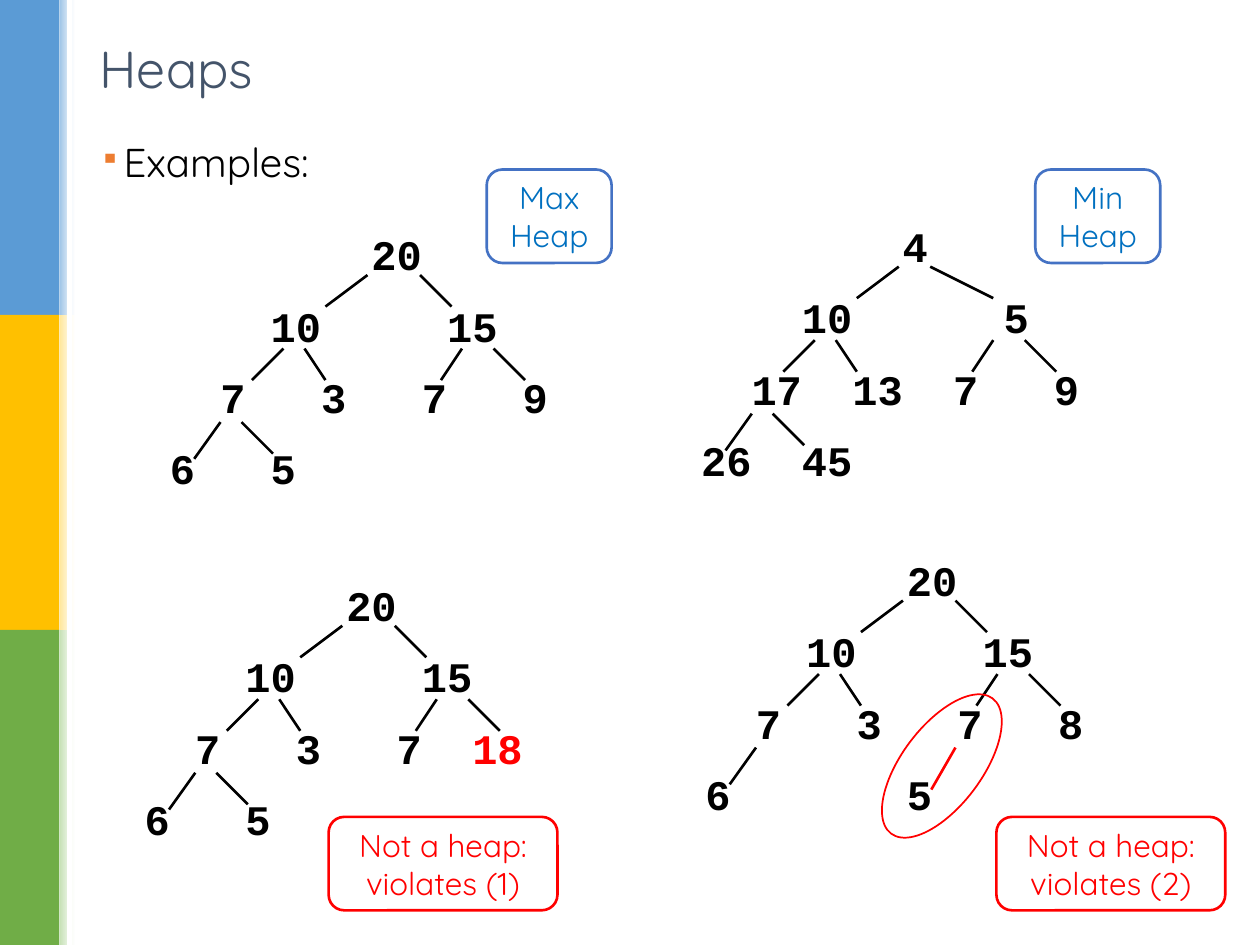
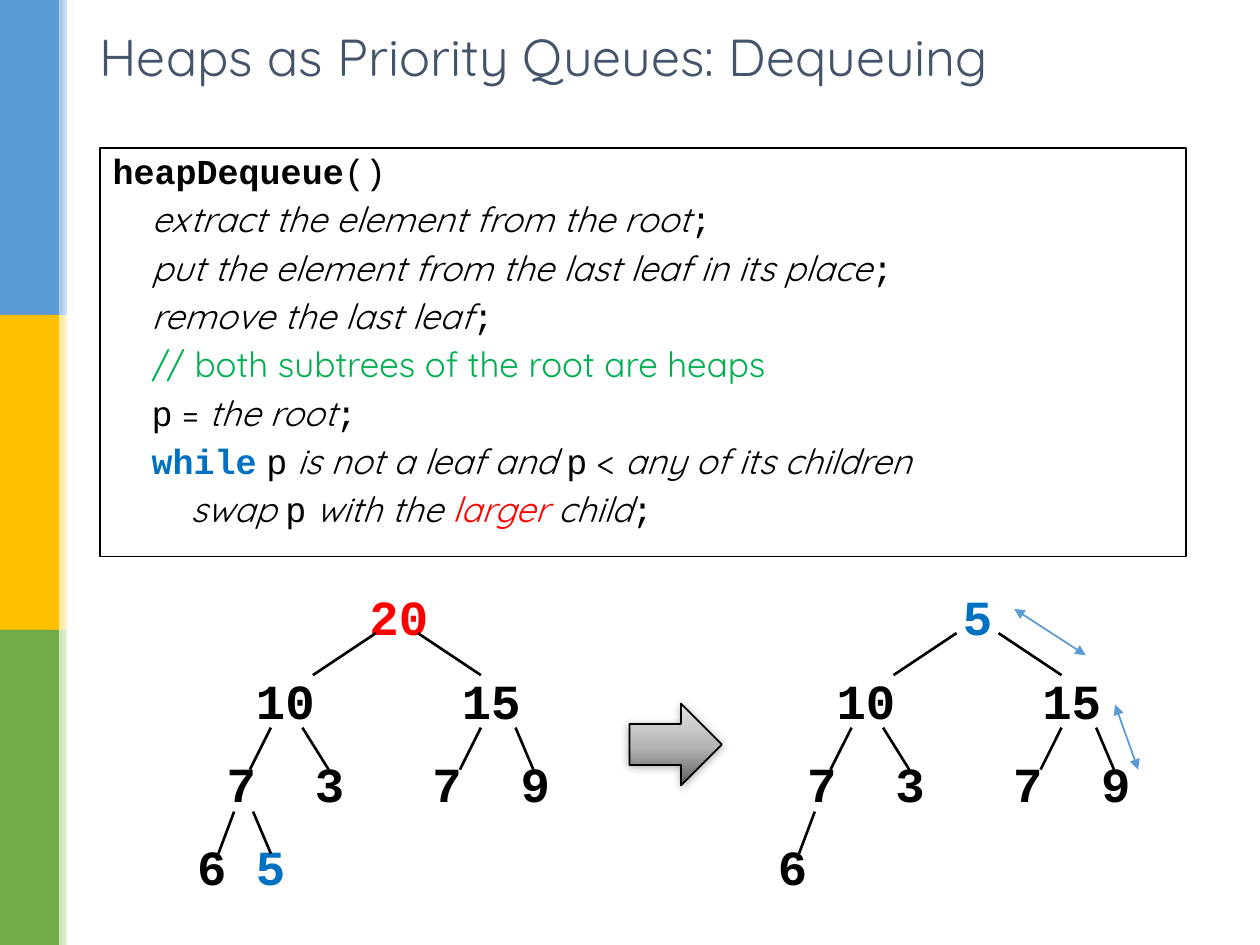
from lxml.etree import SubElement
from pptx import Presentation
from pptx.dml.color import RGBColor
from pptx.enum.shapes import MSO_CONNECTOR, MSO_SHAPE
from pptx.enum.text import MSO_ANCHOR, PP_ALIGN
from pptx.oxml.ns import qn
from pptx.util import Inches, Pt

SANS, MONO = "Quicksand", "Courier New"
BLACK, WHITE, RED, BLUE = "000000", "FFFFFF", "FF0000", "0070C0"
SKY, SLATE, GREEN, ORANGE, FRAME = "5B9BD5", "44546A", "00B050", "ED7D31", "4472C4"
BANDS = [(SKY, "9DC3E6"), ("FFC000", "FFE699"), ("70AD47", "C5E0B4")]
CELLS_PER_INCH = 12

CODE_STYLES = {
    "name": (dict(name=MONO, bold=True), BLACK),
    "code": (dict(name=MONO), BLACK),
    "key": (dict(name=MONO, bold=True), BLUE),
    "plain": (dict(name=SANS), BLACK),
    "note": (dict(name=SANS), GREEN),
    "prose": (dict(name=SANS, italic=True), BLACK),
    "alert": (dict(name=SANS, italic=True), RED),
}
CODE = [
    (0, [("heapDequeue", "name"), ("()", "code")]),
    (1, [("extract the element from the root", "prose"), (";", "code")]),
    (1, [("put the element from the last leaf in its place", "prose"), (";", "code")]),
    (1, [("remove the last leaf", "prose"), (";", "code")]),
    (1, [("// both subtrees of the root are heaps", "note")]),
    (1, [("p", "code"), (" = ", "plain"), ("the root", "prose"), (";", "code")]),
    (1, [("while", "key"), (" ", "plain"), ("p", "code"), (" is not a leaf and ", "prose"),
         ("p", "code"), (" < ", "plain"), ("any of its children", "prose")]),
    (2, [("swap ", "prose"), ("p", "code"), (" with the ", "prose"),
         ("larger", "alert"), (" child", "prose"), (";", "code")]),
]

ROOT_LEFT, ROOT_RIGHT = (20, 5, 16, 8), (25, 5, 28, 8)
WIDE_RIGHT = (23, 5, 29, 8)
MIDDLE = [(12, 12, 9, 15), (14, 12, 16, 15), (29, 12, 27, 15), (32, 12, 35, 15)]
LEAF_LEFT, LEAF_RIGHT = (6, 19, 3.5, 22.5), (8, 19, 11, 22)
FULL_EDGES = [ROOT_LEFT, ROOT_RIGHT, *MIDDLE, LEAF_LEFT, LEAF_RIGHT]
BIG_EDGES = [(21, 5, 15, 9), (25, 5, 31, 9), (11, 14, 9, 18), (14, 14, 16.5, 18),
             (31, 14, 29, 18), (34.3, 14, 36, 18), (7.5, 22, 6, 26)]
BIG_LAST_EDGE = (9.3, 22, 11, 26)


def grid(n):
    """Turn a count of grid cells into a length."""
    return Inches(n / CELLS_PER_INCH)


def box(left, top, width, height):
    """Return a grid rectangle as lengths."""
    return [grid(n) for n in (left, top, width, height)]


def rgb(value):
    """Turn a hex string into a colour."""
    return RGBColor.from_string(value)


def add_run(p, text, size, color, **fmt):
    """Add a formatted run to a paragraph."""
    r = p.add_run()
    r.text = text
    for key, value in dict(size=Pt(size), **fmt).items():
        setattr(r.font, key, value)
    r.font.color.rgb = rgb(color)


def format_paragraph(p, before, spacing=None, left=0, hanging=0, bullet=None, tabs=()):
    """Set spacing in percent, and indents, bullet and tab stops."""
    pPr = p._p.get_or_add_pPr()
    for key, value in (("marL", left), ("indent", -hanging)):
        if value:
            pPr.set(key, str(Inches(value)))
    for tag, percent in (("a:lnSpc", spacing), ("a:spcBef", before)):
        if percent:
            SubElement(SubElement(pPr, qn(tag)), qn("a:spcPct"), val=str(percent * 1000))
    if bullet:
        char, color = bullet
        SubElement(SubElement(pPr, qn("a:buClr")), qn("a:srgbClr"), val=color)
        SubElement(pPr, qn("a:buSzPct"), val="70000")
        SubElement(pPr, qn("a:buChar"), char=char)
    if tabs:
        stops = SubElement(pPr, qn("a:tabLst"))
        for pos in tabs:
            SubElement(stops, qn("a:tab"), pos=str(Inches(pos)), algn="l")


def paragraphs(tf, count):
    """Return the given number of paragraphs of a text frame."""
    return [tf.paragraphs[0]] + [tf.add_paragraph() for _ in range(count - 1)]


def add_textbox(s, area, anchor=MSO_ANCHOR.TOP):
    """Add a wrapping text box and return its text frame."""
    tf = s.shapes.add_textbox(*area).text_frame
    tf.word_wrap = True
    tf.vertical_anchor = anchor
    return tf


def add_shape(s, kind, area, fill=None, line=None, width=1.0):
    """Add a preset shape with plain fill and outline."""
    sp = s.shapes.add_shape(kind, *area)
    sp.shadow.inherit = False
    if fill:
        sp.fill.solid()
        sp.fill.fore_color.rgb = rgb(fill)
    else:
        sp.fill.background()
    if line:
        sp.line.color.rgb = rgb(line)
        sp.line.width = Pt(width)
    else:
        sp.line.fill.background()
    return sp


def set_gradient(sp, stops, angle):
    """Fill a shape with a linear gradient of (percent, colour) stops."""
    sp.fill.gradient()
    sp.fill.gradient_angle = angle
    gs_list = sp._element.spPr.find(".//" + qn("a:gsLst"))
    for gs in list(gs_list):
        gs_list.remove(gs)
    for percent, color in stops:
        gs = SubElement(gs_list, qn("a:gs"), pos=str(percent * 1000))
        SubElement(gs, qn("a:srgbClr"), val=color)


def add_line(s, x1, y1, x2, y2, color=BLACK, width=1.5, arrows=False):
    """Add a straight line, with arrowheads at both ends if asked."""
    c = s.shapes.add_connector(MSO_CONNECTOR.STRAIGHT, *[grid(n) for n in (x1, y1, x2, y2)])
    c.line.color.rgb = rgb(color)
    c.line.width = Pt(width)
    if arrows:
        for tag in ("a:headEnd", "a:tailEnd"):
            SubElement(c.line._get_or_add_ln(), qn(tag), type="triangle")
    SubElement(c._element.spPr, qn("a:effectLst"))


def add_bands(s):
    """Draw the coloured side bands with their fading edge."""
    for i, (color, tint) in enumerate(BANDS):
        add_shape(s, MSO_SHAPE.RECTANGLE, box(0, 30 * i, 5.65, 30), color)
        edge = add_shape(s, MSO_SHAPE.RECTANGLE, box(5.65, 30 * i, 1.45, 30))
        set_gradient(edge, [(0, tint), (100, WHITE)], 0)
    add_shape(s, MSO_SHAPE.RECTANGLE, box(6.4, 0, 0.5, 90), WHITE)


def add_slide(prs, title, top, width):
    """Add a blank slide with bands and a title."""
    s = prs.slides.add_slide(prs.slide_layouts[6])
    add_bands(s)
    tf = add_textbox(s, box(8.3, top, width, 6.7), MSO_ANCHOR.MIDDLE)
    add_run(tf.paragraphs[0], title, 29.7, SLATE, name=SANS)
    return s


def add_tree(s, left, top, levels, edges, size=24, width=42, height=27.8):
    """Write tree levels of (column, text, colour) nodes and draw the edges."""
    tf = add_textbox(s, box(left, top, width, height))
    for p, nodes in zip(paragraphs(tf, len(levels)), levels):
        stops = [node[0] * size / 120 for node in nodes if node[0]]
        format_paragraph(p, 50, tabs=stops)
        for column, text, *color in nodes:
            add_run(p, ("\t" if column else "") + text, size,
                    color[0] if color else BLACK, name=MONO, bold=True)
    for x1, y1, x2, y2, *color in edges:
        add_line(s, left + x1, top + y1, left + x2, top + y2, *color)


def add_label(s, left, top, width, text, line, color):
    """Add a rounded label with centred text."""
    sp = add_shape(s, MSO_SHAPE.ROUNDED_RECTANGLE, box(left, top, width, 8.9), WHITE, line, 1.5)
    tf = sp.text_frame
    tf.word_wrap = True
    tf.vertical_anchor = MSO_ANCHOR.MIDDLE
    tf.paragraphs[0].alignment = PP_ALIGN.CENTER
    add_run(tf.paragraphs[0], text, 18, color, name=SANS)


def add_code(s, area):
    """Add the framed pseudocode."""
    tf = add_shape(s, MSO_SHAPE.RECTANGLE, area, line=BLACK).text_frame
    tf.word_wrap = True
    tf.vertical_anchor = MSO_ANCHOR.TOP
    for p, (depth, runs) in zip(paragraphs(tf, len(CODE)), CODE):
        p.alignment = PP_ALIGN.LEFT
        format_paragraph(p, 30, 90, left=0.31 * depth)
        for text, style in runs:
            fmt, color = CODE_STYLES[style]
            add_run(p, text, 20, color, **fmt)


def add_block_arrow(s, area):
    """Add the grey block arrow with a soft shadow."""
    sp = add_shape(s, MSO_SHAPE.RIGHT_ARROW, area, line=BLACK)
    set_gradient(sp, [(0, "5E5E5E"), (48, "B6B6B6"), (100, "E2E2E2")], 90)
    effects = sp._element.spPr.find(qn("a:effectLst"))
    shadow = SubElement(effects, qn("a:outerShdw"), blurRad=str(Pt(5)), dist=str(Pt(1)),
                        dir="5400000", rotWithShape="0")
    SubElement(SubElement(shadow, qn("a:srgbClr"), val=BLACK), qn("a:alpha"), val="32000")


def build_examples(prs):
    """Build the slide of heaps and trees that are not heaps."""
    s = add_slide(prs, "Heaps", 3.1, 45)
    p = add_textbox(s, box(8.3, 13, 105, 75.8)).paragraphs[0]
    format_paragraph(p, 30, 90, 0.19, 0.19, ("▪", ORANGE))
    add_run(p, "Examples:", 23, BLACK, name=SANS)

    top = [[(8, "20")], [(4, "10"), (11, "15")]]
    row = [(2, "7"), (6, "3"), (10, "7")]
    leaves = [(0, "6"), (4, "5")]
    add_tree(s, 15, 21.2, [*top, [*row, (14, "9")], leaves], FULL_EDGES)
    add_tree(s, 66, 52.2, [*top, [*row, (14, "8")], [(0, "6"), (8, "5")]],
             [ROOT_LEFT, ROOT_RIGHT, *MIDDLE, LEAF_LEFT, (25, 19, 22.7, 23, RED)])
    add_shape(s, MSO_SHAPE.OVAL, box(85.9, 64.9, 7.6, 16.1), line=RED).rotation = 36.9
    add_tree(s, 12.6, 54.6, [*top, [*row, (13, "18", RED)], leaves], FULL_EDGES)
    add_tree(s, 65.6, 20.4,
             [[(8, "4")], [(4, "10"), (12, "5")],
              [(2, "17"), (6, "13"), (10, "7"), (14, "9")], [(0, "26"), (4, "45")]],
             [ROOT_LEFT, WIDE_RIGHT, *MIDDLE, LEAF_LEFT, LEAF_RIGHT])

    for left, text in ((46.35, "Max Heap"), (98.6, "Min Heap")):
        add_label(s, left, 16.15, 11.9, text, FRAME, BLUE)
    for left, rule in ((31.3, 1), (94.9, 2)):
        add_label(s, left, 77.8, 21.8, f"Not a heap: violates ({rule})", RED, RED)


def build_dequeuing(prs):
    """Build the slide of the dequeue algorithm and its effect."""
    s = add_slide(prs, "Heaps as Priority Queues: Dequeuing", 1.95, 97.3)
    add_code(s, box(9.55, 14.1, 103.4, 38.9))
    rows = [[(3, "10"), (10, "15")], [(2, "7"), (5, "3"), (9, "7"), (12, "9")]]
    area = dict(size=28, width=39.8, height=32)
    add_tree(s, 14.8, 55.3, [[(6.86, "20", RED)], *rows, [(1, "6"), (3, "5", BLUE)]],
             [*BIG_EDGES, BIG_LAST_EDGE], **area)
    add_block_arrow(s, box(59.95, 67, 8.8, 7.8))
    add_tree(s, 70.1, 55.3, [[(7.29, "5", BLUE)], *rows, [(1, "6")]], BIG_EDGES, **area)
    for ends in ((96.6, 58, 103.4, 62.4), (106.2, 67.1, 108.4, 73.3)):
        add_line(s, *ends, SKY, 1, arrows=True)


def main():
    """Build and save the presentation."""
    prs = Presentation()
    prs.slide_width, prs.slide_height = Inches(10), Inches(7.5)
    build_examples(prs)
    build_dequeuing(prs)
    prs.save("out.pptx")


main()
